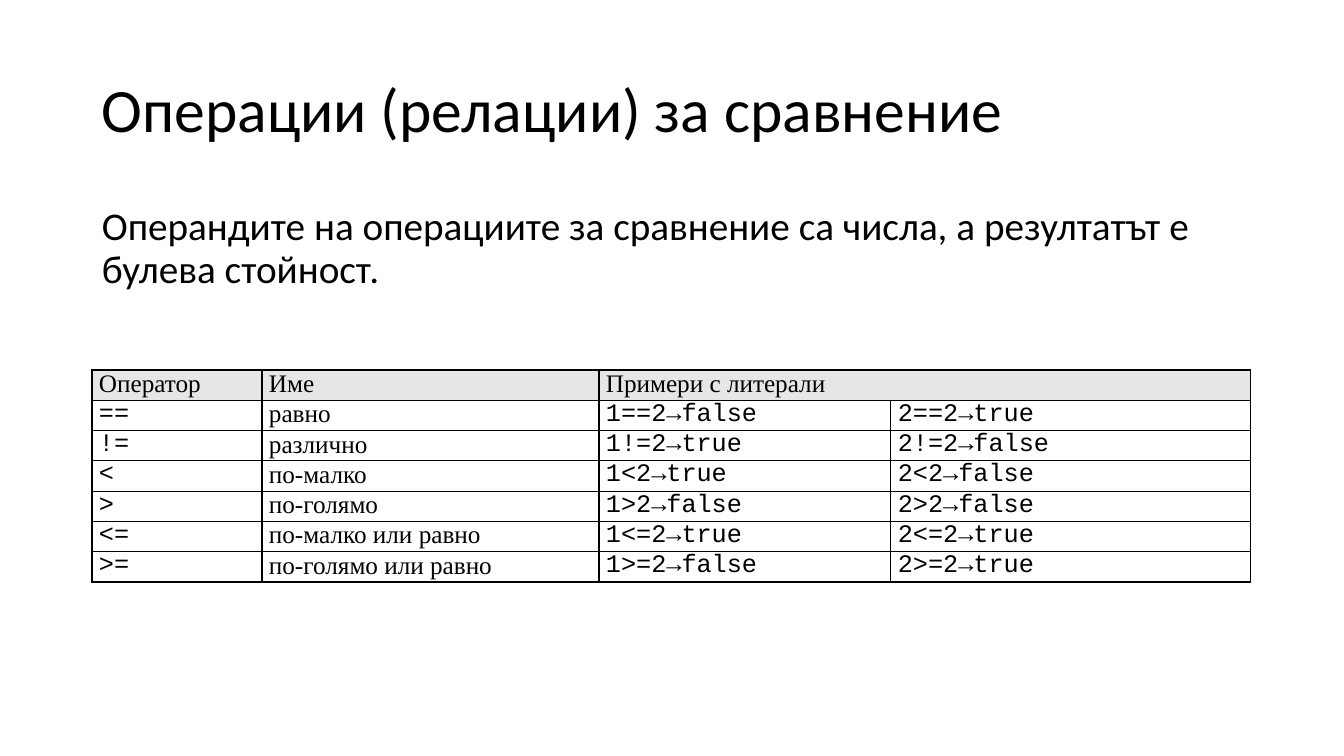
from lxml.etree import SubElement
from pptx import Presentation
from pptx.dml.color import RGBColor
from pptx.enum.text import MSO_ANCHOR, PP_ALIGN
from pptx.oxml.ns import qn
from pptx.util import Pt

THEME = {
    "ink": RGBColor.from_string("000000"),
    "head": RGBColor.from_string("E6E6E6"),
    "title": {"name": "Calibri", "size": Pt(44), "bold": False},
    "body": {"name": "Calibri", "size": Pt(28), "bold": False},
    "word": {"name": "Times New Roman", "size": Pt(18), "bold": False},
    "code": {"name": "Courier New", "size": Pt(18), "bold": False},
}
INSET = {"margin_left": 7, "margin_right": 7, "margin_top": 0, "margin_bottom": 0}


def px(n):
    return round(n * 914400 / 100.8)


def write(frame, text, style, form):
    para = frame.paragraphs[0]
    for key, value in form.items():
        setattr(para, key, value)
    run = para.add_run()
    run.text = text
    for key, value in THEME[style].items():
        setattr(run.font, key, value)
    run.font.color.rgb = THEME["ink"]


deck = Presentation()
deck.slide_width, deck.slide_height = px(1344), px(756)
slide = deck.slides.add_slide(deck.slide_layouts[6])

texts = [
    ("title", 40, 146, MSO_ANCHOR.MIDDLE, 0, "Операции (релации) за сравнение"),
    ("body", 202, 480, MSO_ANCHOR.TOP, 10,
     "Операндите на операциите за сравнение са числа, а резултатът е булева стойност."),
]
for style, top, height, anchor, gap, text in texts:
    frame = slide.shapes.add_textbox(px(92), px(top), px(1159), px(height)).text_frame
    frame.word_wrap = True
    frame.vertical_anchor = anchor
    write(frame, text, style, {"line_spacing": 0.9, "space_before": Pt(gap)})

tests = [
    ("==", "равно", "false", "true"),
    ("!=", "различно", "true", "false"),
    ("<", "по-малко", "true", "false"),
    (">", "по-голямо", "false", "false"),
    ("<=", "по-малко или равно", "true", "true"),
    (">=", "по-голямо или равно", "false", "true"),
]
rows = [("Оператор", "Име", "Примери с литерали", "")]
for sign, name, one, two in tests:
    rows.append((sign, name, f"1{sign}2→{one}", f"2{sign}2→{two}"))

widths = [170, 337, 292, 360]
high = 28
grid = slide.shapes.add_table(
    len(rows), len(widths), px(92), px(370), px(sum(widths)), px(high * len(rows))
).table
grid.first_row = grid.horz_banding = False
for col, width in zip(grid.columns, widths):
    col.width = px(width)

for r, row in enumerate(rows):
    grid.rows[r].height = px(high)
    for c, text in enumerate(row):
        cell = grid.cell(r, c)
        for key, value in INSET.items():
            setattr(cell, key, px(value))
        props = cell._tc.get_or_add_tcPr()
        for side in ("lnL", "lnR", "lnT", "lnB"):
            line = SubElement(props, qn(f"a:{side}"), w=str(Pt(1)))
            fill = SubElement(line, qn("a:solidFill"))
            SubElement(fill, qn("a:srgbClr"), val=str(THEME["ink"]))
        if r == 0:
            cell.fill.solid()
            cell.fill.fore_color.rgb = THEME["head"]
        else:
            cell.fill.background()
        style = "word" if r == 0 or c == 1 else "code"
        if text:
            write(cell.text_frame, text, style, {"alignment": PP_ALIGN.JUSTIFY})
grid.cell(0, 2).merge(grid.cell(0, 3))

deck.save("out.pptx")
